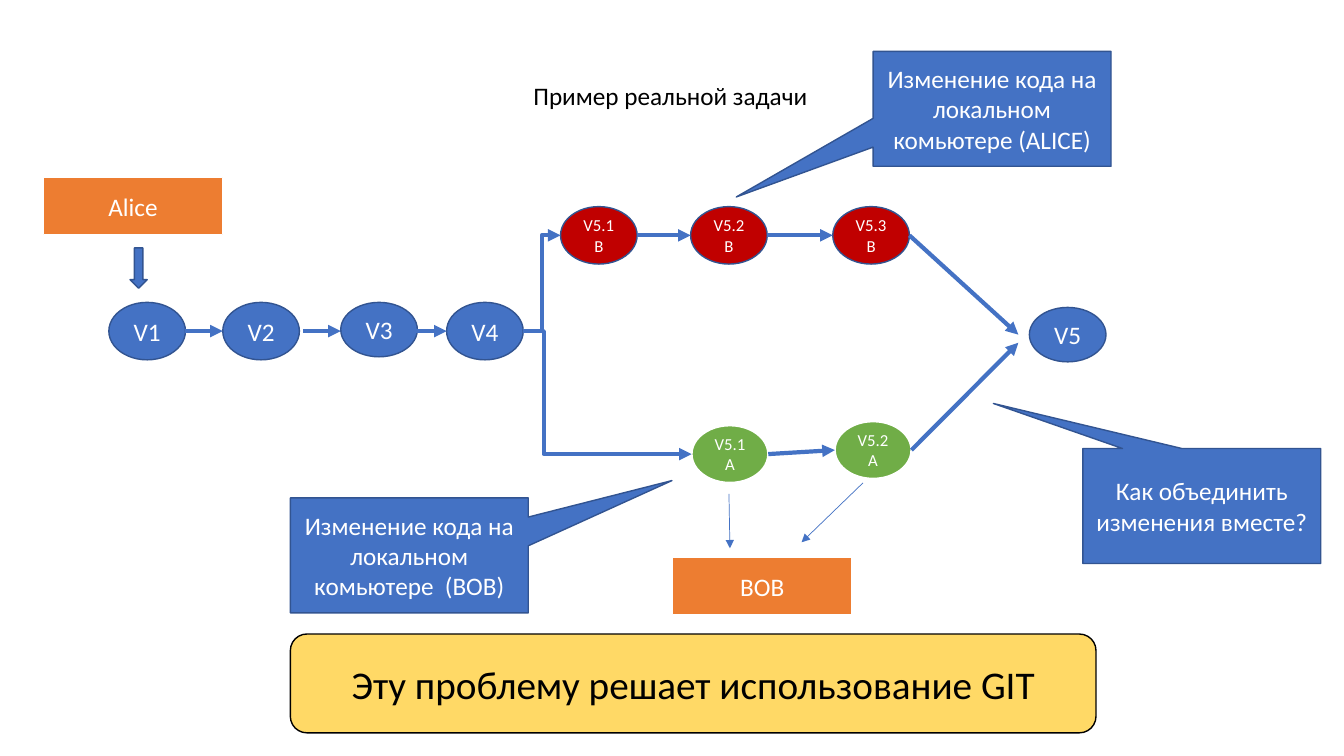
from itertools import pairwise

from lxml import etree
from pptx import Presentation
from pptx import util as u
from pptx.dml.color import RGBColor
from pptx.enum import shapes, text
from pptx.oxml import ns

BLUE = RGBColor(0x44, 0x72, 0xC4)
DARK_BLUE = RGBColor(0x32, 0x54, 0x91)
ORANGE = RGBColor(0xED, 0x7D, 0x31)
RED = RGBColor(0xC0, 0x00, 0x00)
GREEN = RGBColor(0x70, 0xAD, 0x47)
YELLOW = RGBColor(0xFF, 0xD9, 0x66)
WHITE = RGBColor(0xFF, 0xFF, 0xFF)
BLACK = RGBColor(0x00, 0x00, 0x00)

FONT = "Calibri"
NODE_W, NODE_H = 0.76, 0.57
SHAPE = shapes.MSO_SHAPE
STRAIGHT = shapes.MSO_CONNECTOR.STRAIGHT
ELBOW = shapes.MSO_CONNECTOR.ELBOW


def style_text(paragraph, size, color, align):
    paragraph.alignment = align
    paragraph.font.name = FONT
    paragraph.font.size = u.Pt(size)
    paragraph.font.color.rgb = color


def add_block(slide, kind, box, label="", fill=BLUE, outline=DARK_BLUE,
              weight=1, size=18, color=WHITE):
    block = slide.shapes.add_shape(kind, *map(u.Inches, box))
    block.shadow.inherit = False
    block.fill.solid()
    block.fill.fore_color.rgb = fill
    block.line.color.rgb = outline
    block.line.width = u.Pt(weight)
    if label:
        frame = block.text_frame
        frame.word_wrap = True
        frame.vertical_anchor = text.MSO_ANCHOR.MIDDLE
        frame.text = label
        style_text(frame.paragraphs[0], size, color, text.PP_ALIGN.CENTER)
    return block


def add_arrow(slide, start, end, weight=3, kind=STRAIGHT, bend=None):
    arrow = slide.shapes.add_connector(kind, *map(u.Inches, (*start, *end)))
    arrow.line.color.rgb = BLUE
    arrow.line.width = u.Pt(weight)
    etree.SubElement(arrow.line._get_or_add_ln(), ns.qn("a:tailEnd"), type="triangle")
    properties = arrow._element.spPr
    etree.SubElement(properties, ns.qn("a:effectLst"))
    if bend is not None:
        guides = properties.find(ns.qn("a:prstGeom")).find(ns.qn("a:avLst"))
        etree.SubElement(guides, ns.qn("a:gd"), name="adj1",
                         fmla=f"val {round(bend * 100000)}")


def left_of(box):
    return box[0], box[1] + NODE_H / 2


def right_of(box):
    return box[0] + box[2], box[1] + NODE_H / 2


def add_title(slide, box, label):
    title = slide.shapes.title
    title.left, title.top, title.width, title.height = map(u.Inches, box)
    frame = title.text_frame
    frame.text = label
    frame.word_wrap = False
    frame.auto_size = text.MSO_AUTO_SIZE.NONE
    frame.vertical_anchor = text.MSO_ANCHOR.TOP
    style_text(frame.paragraphs[0], 18, BLACK, text.PP_ALIGN.LEFT)


def add_versions(slide, origin, versions, arrow_length=None, **style):
    """Draw a row of versions (label, dx, dy, height) joined by arrows."""
    left, top = origin
    boxes = []
    for label, dx, dy, height in versions:
        boxes.append((left + dx, top + dy, NODE_W, height))
        add_block(slide, SHAPE.OVAL, boxes[-1], label, **style)
    for before, after in pairwise(boxes):
        end = left_of(after)
        start = (end[0] - arrow_length, end[1]) if arrow_length else right_of(before)
        add_arrow(slide, start, end)
    return boxes


def add_person(slide, origin, name):
    add_block(slide, SHAPE.RECTANGLE, (*origin, 1.78, NODE_H), name, ORANGE, WHITE)


def add_alice(slide, origin):
    left, top = origin
    add_person(slide, origin, "Alice")
    add_block(slide, SHAPE.DOWN_ARROW, (left + 0.86, top + 0.7, 0.17, 0.4))


def add_bob(slide, origin):
    left, top = origin
    add_person(slide, origin, "BOB")
    # Thin arrows from Bob's versions
    add_arrow(slide, (left + 0.56, top - 0.63), (left + 0.57, top - 0.09), 0.5)
    add_arrow(slide, (left + 1.89, top - 0.74), (left + 1.28, top - 0.15), 0.5)


def add_history(slide, origin):
    left, top = origin
    # Shared trunk, two branches and the merged version
    trunk = add_versions(slide, origin, [
        ("V1", 0, 0, NODE_H), ("V2", 1.13, 0, NODE_H),
        ("V3", 2.3, 0, 0.54), ("V4", 3.35, 0, NODE_H)], arrow_length=0.37)
    upper = add_versions(slide, (left + 4.48, top - 0.95), [
        ("V5.1 B", 0, 0, NODE_H), ("V5.2 B", 1.29, 0, NODE_H),
        ("V5.3 B", 2.7, 0, NODE_H)], fill=RED, size=12)
    lower = add_versions(slide, (left + 5.78, top + 1.22), [
        ("V5.1 A", 0, 0, NODE_H), ("V5.2 A", 1.42, -0.04, NODE_H)],
        fill=GREEN, outline=WHITE, weight=1.5, size=12)
    add_versions(slide, (left + 9.13, top + 0.05), [("V5", 0, 0, 0.54)])
    # Fork after V4 and merge into V5
    for branch, bend, merge_y in ((upper, 0.5, 0.32), (lower, 0.122, 0.4)):
        add_arrow(slide, right_of(trunk[-1]), left_of(branch[0]), kind=ELBOW, bend=bend)
        add_arrow(slide, right_of(branch[-1]), (left + 9.02, top + merge_y))


def add_callout(slide, origin, label, pointer):
    callout = add_block(slide, SHAPE.RECTANGULAR_CALLOUT, (*origin, 2.36, 1.14), label)
    for index, share in enumerate(pointer):
        callout.adjustments[index] = share


def add_conclusion(slide, box, label):
    add_block(slide, SHAPE.ROUNDED_RECTANGLE, box, label, YELLOW, BLACK,
              size=28, color=BLACK)


def main():
    deck = Presentation()
    deck.slide_width, deck.slide_height = u.Inches(13.33), u.Inches(7.5)
    slide = deck.slides.add_slide(deck.slide_layouts[5])

    add_title(slide, (5.19, 0.75, 2.95, 0.4), "Пример реальной задачи")
    add_alice(slide, (0.43, 1.76))
    add_bob(slide, (6.67, 5.53))
    add_history(slide, (1.08, 3))
    add_callout(slide, (8.66, 0.51),
                "Изменение кода на локальном комьютере (ALICE)", (-1.075, 0.767))
    add_callout(slide, (2.88, 4.94),
                "Изменение кода на локальном комьютере  (BOB)", (1.104, -0.651))
    add_callout(slide, (10.74, 4.45),
                "Как объединить изменения вместе?", (-0.876, -0.892))
    add_conclusion(slide, (2.88, 6.29, 7.99, 0.98),
                   "Эту проблему решает использование GIT")
    deck.save("out.pptx")


if __name__ == "__main__":
    main()
